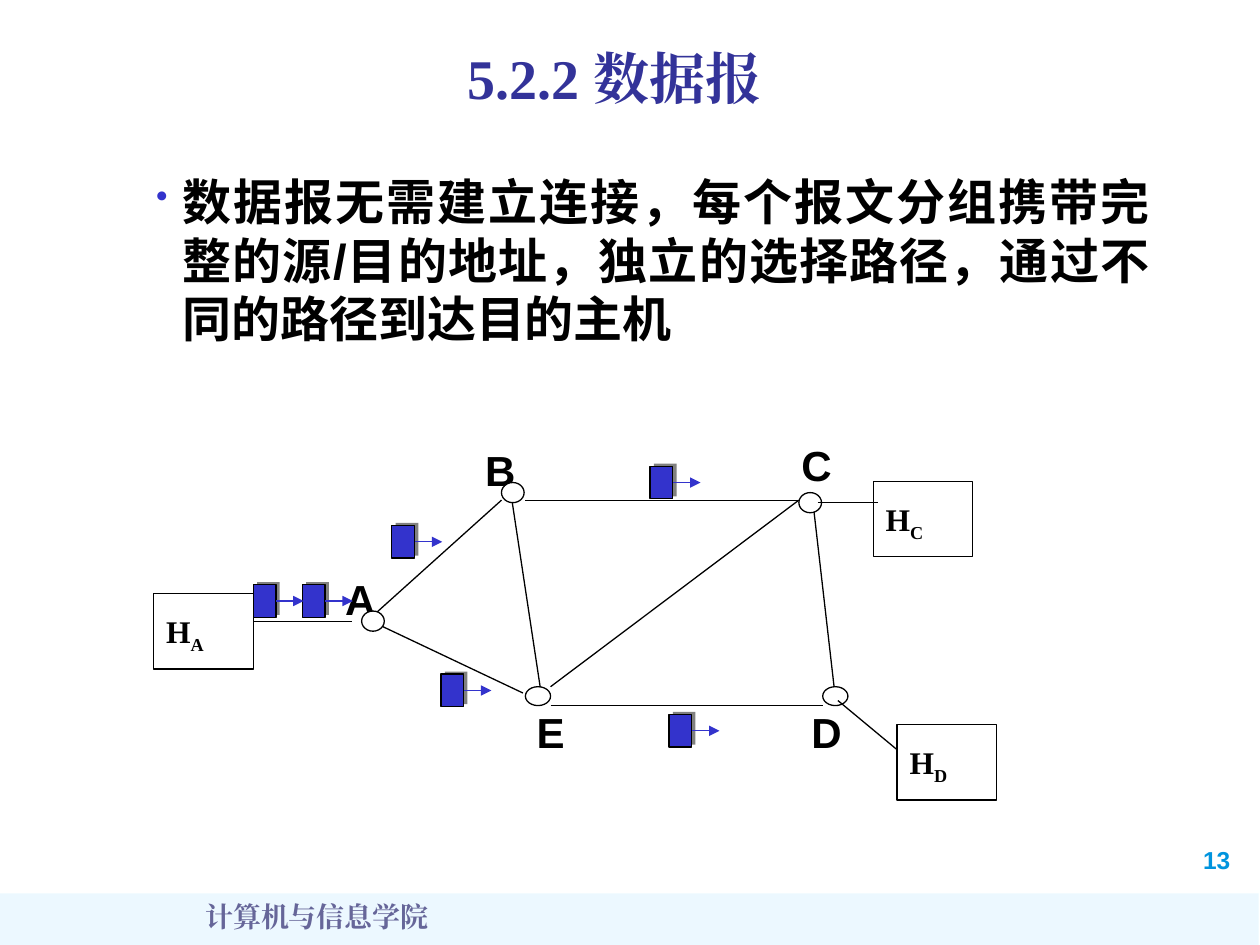
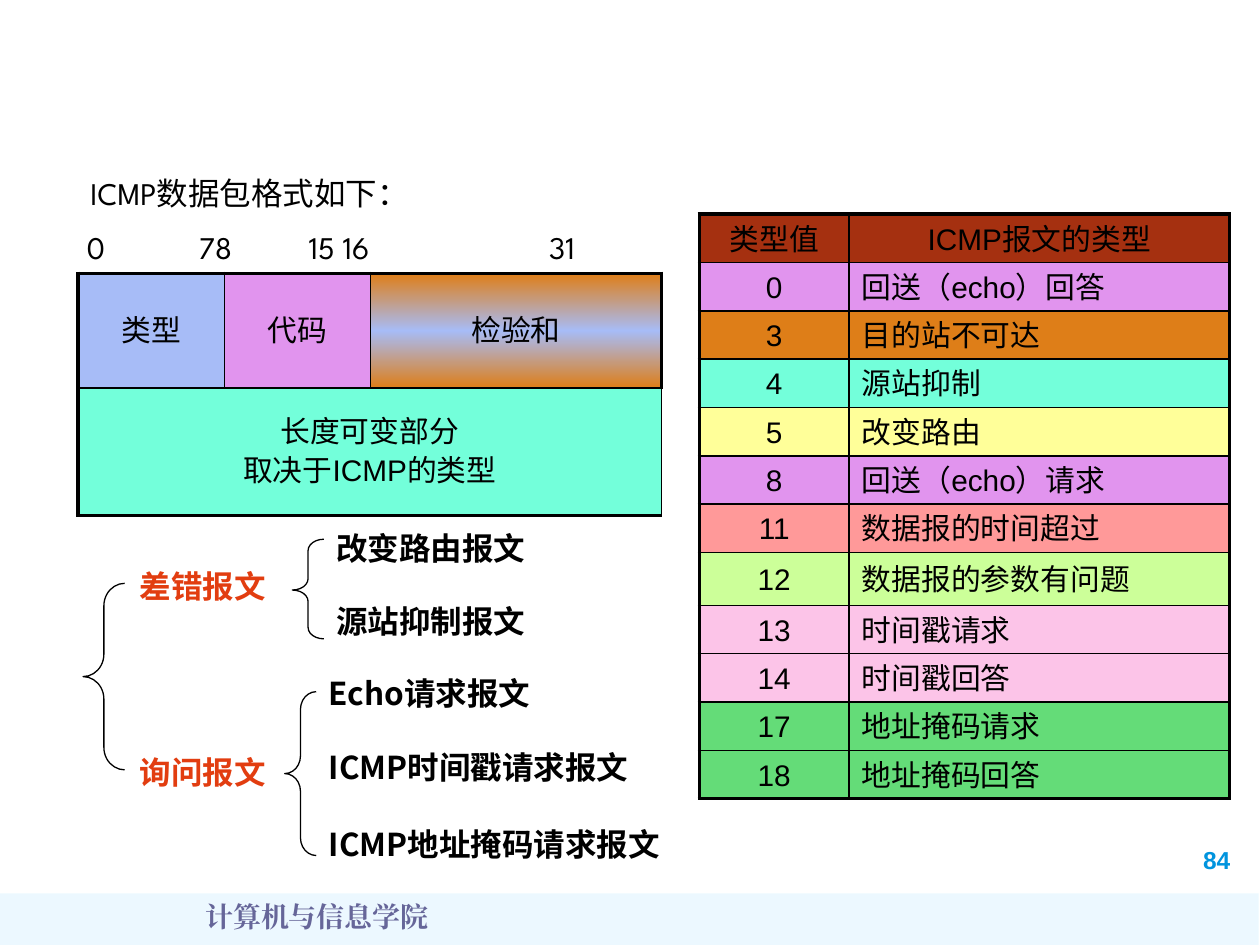
from lxml.etree import SubElement as sub_el
from pptx import Presentation
from pptx.dml.color import RGBColor
from pptx.enum.shapes import MSO_CONNECTOR as CONN, MSO_SHAPE as SHAPE
from pptx.enum.text import MSO_ANCHOR as ANCHOR, PP_ALIGN as ALIGN
from pptx.oxml import parse_xml
from pptx.oxml.ns import nsdecls, qn
from pptx.util import Inches, Pt

BLACK, WHITE, BLUE, GRAY = "000000", "FFFFFF", "3333CC", "808080"
NAVY, RED, ORANGE = "333399", "E23D10", "DE7E18"
SKY, PINK, AQUA, ROSE, GREEN = "A7BCF7", "E194EE", "73FFDA", "FCC4E8", "64DC78"
SANS, SERIF = "Arial", "Times New Roman"
NOTO, SPARTAN = "Noto Sans CJK SC", "League Spartan"
THIN, THICK = 1, 2.25


def color(code):
    return RGBColor.from_string(code)


def text(frame, words, size=18, font=SANS, ink=BLACK, bold=False, align=ALIGN.LEFT,
         anchor=ANCHOR.TOP, sub="", lead=None, gap=0, wrap=True):
    """Write one paragraph per line; sub is a subscript at the end."""
    frame.word_wrap = wrap
    frame.vertical_anchor = anchor
    for i, line in enumerate(words.split("\n")):
        para = frame.paragraphs[0] if i == 0 else frame.add_paragraph()
        para.alignment = align
        if lead:
            para.line_spacing = lead
        if i:
            para.space_before = Pt(gap)
        for part in filter(None, (line, sub)):
            run = para.add_run()
            run.text = part
            face = run.font
            face.size, face.name, face.bold = Pt(size), font, bold
            face.color.rgb = color(ink)
            props = run._r.get_or_add_rPr()
            sub_el(props, qn("a:ea"), typeface=font)
            if part == sub:
                props.set("baseline", "-25000")
    return frame.paragraphs[0]


def label(slide, box, words, **fmt):
    frame = slide.shapes.add_textbox(*map(Inches, box)).text_frame
    return text(frame, words, **fmt)


def shape(slide, kind, box, fill=None, line=None):
    item = slide.shapes.add_shape(kind, *map(Inches, box))
    item.shadow.inherit = False
    if fill:
        item.fill.solid()
        item.fill.fore_color.rgb = color(fill)
    else:
        item.fill.background()
    if line:
        item.line.color.rgb = color(line)
        item.line.width = Pt(0.75)
    else:
        item.line.fill.background()
    return item


def link(slide, start, end, ink=BLACK, head=False):
    line = slide.shapes.add_connector(CONN.STRAIGHT, *map(Inches, start + end))
    line.line.color.rgb = color(ink)
    line.line.width = Pt(0.75)
    if head:
        sub_el(line.line._get_or_add_ln(), qn("a:tailEnd"), type="triangle")
    sub_el(line._element.spPr, qn("a:effectLst"))
    return line


def new_slide(deck, number):
    """Add a blank slide with the footer band, page number and school name."""
    slide = deck.slides.add_slide(deck.slide_layouts[6])
    band = shape(slide, SHAPE.RECTANGLE, (-0.01, 7.09, 10, 0.44), "A7E2FF")
    tint = band._element.spPr.find(".//" + qn("a:srgbClr"))
    sub_el(tint, qn("a:alpha"), val="21000")
    label(slide, (9.45, 6.66, 0.59, 0.33), number, size=14, ink="0094DE", bold=True)
    label(slide, (0.27, 7.09, 4.49, 0.5), "计算机与信息学院", size=16, font=SERIF,
          ink="666699", bold=True, align=ALIGN.CENTER)
    return slide


def title(slide, words):
    para = label(slide, (1, 0.24, 7.75, 0.75), words, size=32, font=SERIF, ink=NAVY,
                 bold=True, align=ALIGN.CENTER, anchor=ANCHOR.MIDDLE)
    glow = parse_xml(
        f'<a:effectLst {nsdecls("a")}><a:outerShdw dist="35921" dir="2700000">'
        '<a:srgbClr val="C0C0C0"/></a:outerShdw></a:effectLst>')
    for run in para.runs:
        run._r.rPr.find(qn("a:solidFill")).addnext(glow)


def bullet(para):
    props = para._p.get_or_add_pPr()
    props.set("marL", str(Inches(0.21)))
    props.set("indent", str(-Inches(0.21)))
    tint = sub_el(props, qn("a:buClr"))
    sub_el(tint, qn("a:srgbClr"), val=BLUE)
    sub_el(props, qn("a:buSzPct"), val="70000")
    sub_el(props, qn("a:buChar"), char="•")


def tabs(para, stops):
    row = sub_el(para._p.get_or_add_pPr(), qn("a:tabLst"))
    for stop in stops:
        sub_el(row, qn("a:tab"), pos=str(Inches(stop)), algn="l")


def host(slide, left, top, name):
    box = shape(slide, SHAPE.RECTANGLE, (left, top, 0.79, 0.6), WHITE, BLACK)
    text(box.text_frame, "H", sub=name, font=SERIF, bold=True, lead=1.3,
         align=ALIGN.JUSTIFY)


def packet(slide, left, top):
    """Draw a packet with its back shade and an arrow to the right."""
    wide, high = 0.18, 0.26
    shape(slide, SHAPE.RECTANGLE, (left + 0.03, top - 0.02, wide, high), GRAY)
    front = shape(slide, SHAPE.RECTANGLE, (left, top, wide, high), BLUE, BLACK)
    right, mid = left + wide, top + high / 2
    arrow = link(slide, (right, mid), (right + 0.22, mid), BLUE, head=True)
    arrow.begin_connect(front, 3)


def edge(cell, sides):
    """Set the cell borders; sides holds widths for left, right, top, bottom."""
    props = cell._tc.get_or_add_tcPr()
    for i, (side, width) in enumerate(zip("LRTB", sides)):
        props.insert(i, parse_xml(
            f'<a:ln{side} {nsdecls("a")} w="{Pt(width)}"><a:solidFill>'
            f'<a:srgbClr val="{BLACK}"/></a:solidFill></a:ln{side}>'))


def blend(cell, outer, inner):
    stops = "".join(f'<a:gs pos="{pos}"><a:srgbClr val="{code}"/></a:gs>'
                    for pos, code in ((0, outer), (50000, inner), (100000, outer)))
    cell._tc.get_or_add_tcPr().append(parse_xml(
        f'<a:gradFill {nsdecls("a")}><a:gsLst>{stops}</a:gsLst>'
        '<a:lin ang="5400000" scaled="0"/></a:gradFill>'))


def grid(slide, left, top, cols, rows):
    """Add a plain table with a thick frame and thin inner lines."""
    table = slide.shapes.add_table(
        len(rows), len(cols), Inches(left), Inches(top),
        Inches(sum(cols)), Inches(sum(rows))).table
    table.first_row = table.horz_banding = False
    for col, width in zip(table.columns, cols):
        col.width = Inches(width)
    for row, high in zip(table.rows, rows):
        row.height = Inches(high)
    last_r, last_c = len(rows) - 1, len(cols) - 1
    for r in range(len(rows)):
        for c in range(len(cols)):
            outer = (c == 0, c == last_c, r == 0, r == last_r)
            edge(table.cell(r, c), [THICK if out else THIN for out in outer])
    return table


def fill_cell(cell, words, fill, align=ALIGN.CENTER):
    text(cell.text_frame, words, size=17, align=align, gap=3.4)
    cell.vertical_anchor = ANCHOR.MIDDLE
    if fill:
        cell.fill.solid()
        cell.fill.fore_color.rgb = color(fill)


def datagram(deck):
    slide = new_slide(deck, "13")
    title(slide, "5.2.2 数据报")
    bullet(label(
        slide, (1.14, 1.31, 8.08, 1.5),
        "数据报无需建立连接，每个报文分组携带完整的源/目的地址，"
        "独立的选择路径，通过不同的路径到达目的主机",
        size=28, bold=True, align=ALIGN.JUSTIFY))

    # Router names
    for name, mid, top, lead in (("A", 2.86, 4.38, 1.3), ("B", 3.97, 3.36, 1.3),
                                 ("C", 6.48, 3.44, None), ("D", 6.56, 5.56, None),
                                 ("E", 4.37, 5.56, None)):
        label(slide, (mid - 0.22, top, 0.44, 0.5), name, size=24, bold=True,
              align=ALIGN.CENTER, lead=lead, wrap=False)

    # Links between routers
    for start, end in (((3.01, 4.96), (4.15, 5.5)), ((2.99, 4.86), (3.98, 3.97)),
                       ((4.17, 3.97), (6.34, 3.97)), ((4.06, 3.95), (4.29, 5.47)),
                       ((4.37, 5.45), (6.34, 3.97)), ((4.37, 5.6), (6.53, 5.6)),
                       ((6.45, 3.97), (6.62, 5.45))):
        link(slide, start, end)

    # Hosts, routers and the links between them
    for left, top, name in ((1.22, 4.71, "A"), (6.93, 3.82, "C"), (7.12, 5.75, "D")):
        host(slide, left, top, name)
    for node in ((4.17, 5.45, 0.2, 0.15), (6.53, 5.45, 0.2, 0.15),
                 (2.87, 4.85, 0.18, 0.16), (3.98, 3.83, 0.18, 0.16),
                 (6.34, 3.91, 0.18, 0.16)):
        shape(slide, SHAPE.OVAL, node, WHITE, BLACK)
    for start, end in (((2.01, 4.93), (2.79, 4.93)), ((6.65, 5.56), (7.12, 5.95)),
                       ((6.49, 3.99), (6.97, 3.99))):
        link(slide, start, end)

    # Packets on their way
    for left, top in ((2.4, 4.64), (2.01, 4.64), (5.16, 3.7), (5.31, 5.67),
                      (3.5, 5.35), (3.11, 4.17)):
        packet(slide, left, top)


def icmp(deck):
    slide = new_slide(deck, "84")

    # Packet layout
    label(slide, (0.62, 1.33, 2.86, 0.4), "ICMP数据包格式如下：", font=SPARTAN, wrap=False)
    tabs(label(slide, (0.59, 1.76, 4.71, 0.4), "0\t78\t15\t16\t31", font=SPARTAN),
         (0.89, 1.76, 2.03, 3.67))
    table = grid(slide, 0.62, 2.17, (1.16, 1.16, 2.31), (0.91, 1.01))
    for c, (words, fill) in enumerate((("类型", SKY), ("代码", PINK), ("检验和", None))):
        fill_cell(table.cell(0, c), words, fill)
    blend(table.cell(0, 2), ORANGE, SKY)
    rest = table.cell(1, 0)
    rest.merge(table.cell(1, 2))
    fill_cell(rest, "长度可变部分\n取决于ICMP的类型", AQUA)

    # Message types
    types = (("类型值", "ICMP报文的类型", "A53010"), ("0", "回送（echo）回答", PINK),
             ("3", "目的站不可达", ORANGE), ("4", "源站抑制", AQUA),
             ("5", "改变路由", "FFFF99"), ("8", "回送（echo）请求", PINK),
             ("11", "数据报的时间超过", "FF9999"), ("12", "数据报的参数有问题", "CCFF99"),
             ("13", "时间戳请求", ROSE), ("14", "时间戳回答", ROSE),
             ("17", "地址掩码请求", GREEN), ("18", "地址掩码回答", GREEN))
    tall, total = 0.42, 4.64
    high = (total - tall) / (len(types) - 1)
    rows = [tall if code == "12" else high for code, _, _ in types]
    table = grid(slide, 5.55, 1.7, (1.19, 3.02), rows)
    for r, (code, words, fill) in enumerate(types):
        fill_cell(table.cell(r, 0), code, fill)
        fill_cell(table.cell(r, 1), words, fill, ALIGN.LEFT if r else ALIGN.CENTER)
        for cell in table.rows[r].cells:
            cell.margin_top, cell.margin_bottom = Inches(0.04), Inches(0.02)

    # Tree of messages
    for box, bend, mid in (((0.66, 4.63, 0.33, 1.48), 0.54, 0.5),
                           ((2.32, 4.28, 0.25, 0.79), 0.36, 0.51),
                           ((2.26, 5.49, 0.25, 1.3), 0.56, 0.5)):
        brace = shape(slide, SHAPE.LEFT_BRACE, box, line=BLACK)
        brace.adjustments[0], brace.adjustments[1] = bend, mid
    for left, top, words, ink in (
            (1.01, 4.45, "差错报文", RED), (1.01, 5.93, "询问报文", RED),
            (2.57, 4.15, "改变路由报文", BLACK), (2.57, 4.73, "源站抑制报文", BLACK),
            (2.51, 5.3, "Echo请求报文", BLACK), (2.51, 5.89, "ICMP时间戳请求报文", BLACK),
            (2.51, 6.5, "ICMP地址掩码请求报文", BLACK)):
        label(slide, (left, top, 2.92, 0.4), words, font=NOTO, ink=ink, bold=True)


def main():
    deck = Presentation()
    deck.slide_width, deck.slide_height = Inches(10), Inches(7.5)
    datagram(deck)
    icmp(deck)
    deck.save("out.pptx")


if __name__ == "__main__":
    main()
